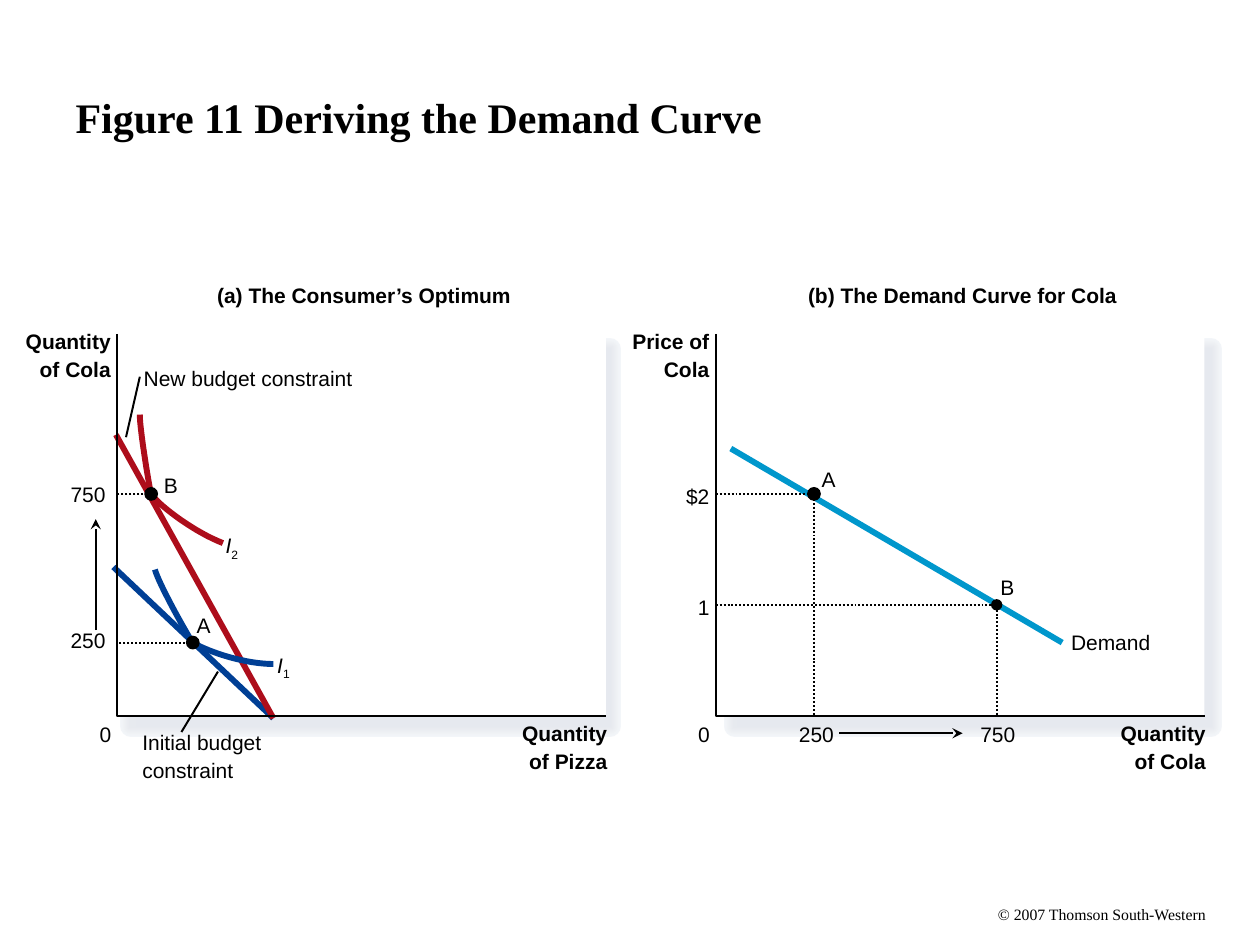
from dataclasses import dataclass

from lxml.etree import SubElement
from pptx import Presentation
from pptx.dml.color import RGBColor
from pptx.enum.dml import MSO_LINE_DASH_STYLE as Dash
from pptx.enum.shapes import MSO_CONNECTOR as Connector, MSO_SHAPE as Shape
from pptx.enum.text import MSO_ANCHOR as Anchor, PP_ALIGN as Align
from pptx.oxml.ns import qn
from pptx.util import Inches, Pt

COLUMNS, ROWS = 100, 75
CELL = 0.1
AXIS_WIDTH, AXIS_HEIGHT = 38.8, 30.3
THIN, THICK = 1.13, 3.37
BLACK, WHITE, RED, NAVY, BLUE = "000000", "FFFFFF", "AD0D1B", "003F95", "0097CC"
SHADOW = ["F3F6F9", "F2F4F8", "F1F4F7", "F0F2F5", "EEF1F4", "EDEFF3",
          "EBEEF2", "EAECF1", "E9EBF0", "E7EAEF", "E6E9EF"]


@dataclass
class Region:
    page: object
    left: float = 0
    top: float = 0

    def at(self, column, row):
        return cells(self.left + column), cells(self.top + row)


def cells(count):
    return Inches(count * CELL)


def color(value):
    return RGBColor.from_string(value)


def set_line(shape, stroke, width, dash=None):
    shape.line.color.rgb = color(stroke)
    shape.line.width = Pt(width)
    if dash:
        shape.line.dash_style = dash


def add_block(region, kind, box, fill, outline=None):
    column, row, width, height = box
    block = region.page.shapes.add_shape(
        kind, *region.at(column, row), cells(width), cells(height))
    block.shadow.inherit = False
    block.fill.solid()
    block.fill.fore_color.rgb = color(fill)
    if outline:
        set_line(block, fill, outline)
    else:
        block.line.fill.background()


def add_line(region, start, end, stroke=BLACK, width=THIN, dash=None, arrow=False):
    line = region.page.shapes.add_connector(
        Connector.STRAIGHT, *region.at(*start), *region.at(*end))
    set_line(line, stroke, width, dash)
    if arrow:
        SubElement(line.line._get_or_add_ln(), qn("a:tailEnd"), type="stealth")
    SubElement(line._element.spPr, qn("a:effectLst"))


def add_path(region, points, stroke=BLACK, width=THIN, dash=None):
    first, *rest = [region.at(*point) for point in points]
    builder = region.page.shapes.build_freeform(*first)
    builder.add_line_segments(rest, close=False)
    outline = builder.convert_to_shape()
    outline.shadow.inherit = False
    outline.fill.background()
    set_line(outline, stroke, width, dash)


def bezier(points, steps=16):
    def blend(t, values):
        a, b, c, d = values
        s = 1 - t
        return a * s**3 + 3 * b * s * s * t + 3 * c * s * t * t + d * t**3

    return [tuple(blend(i / steps, axis) for axis in zip(*points))
            for i in range(steps + 1)]


def add_label(region, box, *lines, size=12, bold=False, align=Align.LEFT, font="Arial"):
    column, row, width, height = box
    label = region.page.shapes.add_textbox(
        *region.at(column, row), cells(width), cells(height))
    frame = label.text_frame
    frame.margin_left = frame.margin_right = frame.margin_top = frame.margin_bottom = 0
    frame.word_wrap = False
    frame.text = "\n".join(lines)
    for index, para in enumerate(frame.paragraphs):
        para.alignment = align
        if index:
            para.space_before = Pt(1.3)
        for span in para.runs:
            span.font.name, span.font.size, span.font.bold = font, Pt(size), bold
            span.font.color.rgb = color(BLACK)
    return frame


def add_curve(region, points, stroke, subscript, label_at):
    add_path(region, bezier(points[:4]) + bezier(points[3:])[1:], stroke, THICK)
    para = add_label(region, (*label_at, 1, 2.3), "I").paragraphs[0]
    para.runs[0].font.italic = True
    span = para.add_run()
    span.text = subscript
    span.font.name, span.font.size = "Arial", Pt(12)
    span.font.color.rgb = color(BLACK)
    span._r.get_or_add_rPr().set("baseline", "-25000")


def add_dot(region, center, size=1.1):
    column, row = center
    add_block(region, Shape.OVAL, (column - size / 2, row - size / 2, size, size), BLACK)


def draw_frame(region, shadow_left, title, vertical, horizontal):
    right = shadow_left + (38 if shadow_left < 1.3 else 37.8)
    for index, shade in enumerate(SHADOW):
        left = right - 37.5 if shade == SHADOW[-1] else shadow_left
        add_block(region, Shape.RECTANGLE, (left, 1.2, right - left, 29.9),
                  shade, 12.5 - 1.13 * index)
    add_block(region, Shape.RECTANGLE, (0, 0, AXIS_WIDTH, AXIS_HEIGHT), WHITE)
    add_label(region, (6.9, -4.1, 25.4, 2), title, bold=True, align=Align.CENTER)
    add_label(region, (-7.3, -0.4, 6.8, 4.1), *vertical, bold=True, align=Align.RIGHT)
    add_label(region, (32.1, 30.7, 6.8, 4.1), *horizontal, bold=True, align=Align.RIGHT)
    add_label(region, (-1.4, 30.8, 0.9, 2), "0")


def draw_axes(region):
    add_path(region, [(0, 0), (0, AXIS_HEIGHT), (AXIS_WIDTH, AXIS_HEIGHT)])


def draw_optimum(region):
    draw_frame(region, 1.1, "(a) The Consumer’s Optimum",
               ("Quantity", "of Cola"), ("Quantity", "of Pizza"))
    add_line(region, (12.4, 30.5), (-0.3, 18.5), NAVY, THICK)
    add_line(region, (-0.1, 8), (12.4, 30.5), RED, THICK)
    add_line(region, (-1.7, 23.5), (-1.7, 14.7), arrow=True)
    add_curve(region, [(3, 18.7), (3.3, 19.8), (5.4, 23.6), (6, 24.5),
                       (7.4, 25.3), (10.2, 26.2), (12.4, 26.2)], NAVY, "1", (12.7, 25.3))
    add_curve(region, [(1.8, 6.4), (1.8, 7.5), (2.5, 11.9), (2.7, 12.7),
                       (3.5, 13.8), (6.3, 15.8), (8.4, 16.6)], RED, "2", (8.6, 15.8))
    add_line(region, (1.8, 3.4), (0.7, 8.2))
    add_label(region, (2.1, 2.5, 16.6, 2), "New budget constraint")
    add_line(region, (5.1, 31.6), (8, 26.8))
    add_label(region, (2, 31.4, 9.9, 4.1), "Initial budget", "constraint")
    for name, amount, point, letter_at, tick_row in (
            ("B", "750", (2.7, 12.7), (3.7, 11), 11.7),
            ("A", "250", (6, 24.5), (6.3, 22.1), 23.3)):
        add_line(region, point, (0, point[1]), dash=Dash.ROUND_DOT)
        add_dot(region, point)
        add_label(region, (-3.7, tick_row, 2.8, 2), amount)
        add_label(region, (*letter_at, 1.1, 2), name)
    draw_axes(region)


def draw_demand(region):
    draw_frame(region, 1.5, "(b) The Demand Curve for Cola",
               ("Price of", "Cola"), ("Quantity", "of Cola"))
    add_line(region, (9.8, 31.7), (19.6, 31.7), arrow=True)
    add_line(region, (1.2, 9.1), (27.5, 24.5), BLUE, THICK)
    add_label(region, (28.2, 23.5, 6.3, 2), "Demand")
    for name, price, amount, point, letter_at, amount_left, size in (
            ("A", "$2", "250", (7.8, 12.7), (8.4, 10.5), 6.6, 1.1),
            ("B", "1", "750", (22.3, 21.5), (22.6, 19.1), 21, 0.9)):
        column, row = point
        add_path(region, [(0, row), point, (column, AXIS_HEIGHT)], dash=Dash.ROUND_DOT)
        add_dot(region, point, size)
        add_label(region, (-2.4, row - 0.8, 1.9, 2), price, align=Align.RIGHT)
        add_label(region, (amount_left, 30.8, 2.8, 2), amount)
        add_label(region, (*letter_at, 1.1, 2), name)
    draw_axes(region)


def draw_headings(region):
    frame = add_label(region, (6, 3, 88, 12.5), "Figure 11 Deriving the Demand Curve",
                      size=24, bold=True, font="Times New Roman")
    frame.word_wrap = True
    frame.vertical_anchor = Anchor.MIDDLE
    add_label(region, (79.2, 71.8, 16.6, 1.5), "© 2007 Thomson South-Western",
              size=9, font="Times New Roman")


def main():
    deck = Presentation()
    deck.slide_width, deck.slide_height = cells(COLUMNS), cells(ROWS)
    page = deck.slides.add_slide(deck.slide_layouts[6])
    draw_headings(Region(page))
    draw_optimum(Region(page, 9.3, 26.5))
    draw_demand(Region(page, 56.8, 26.5))
    deck.save("out.pptx")


if __name__ == "__main__":
    main()
